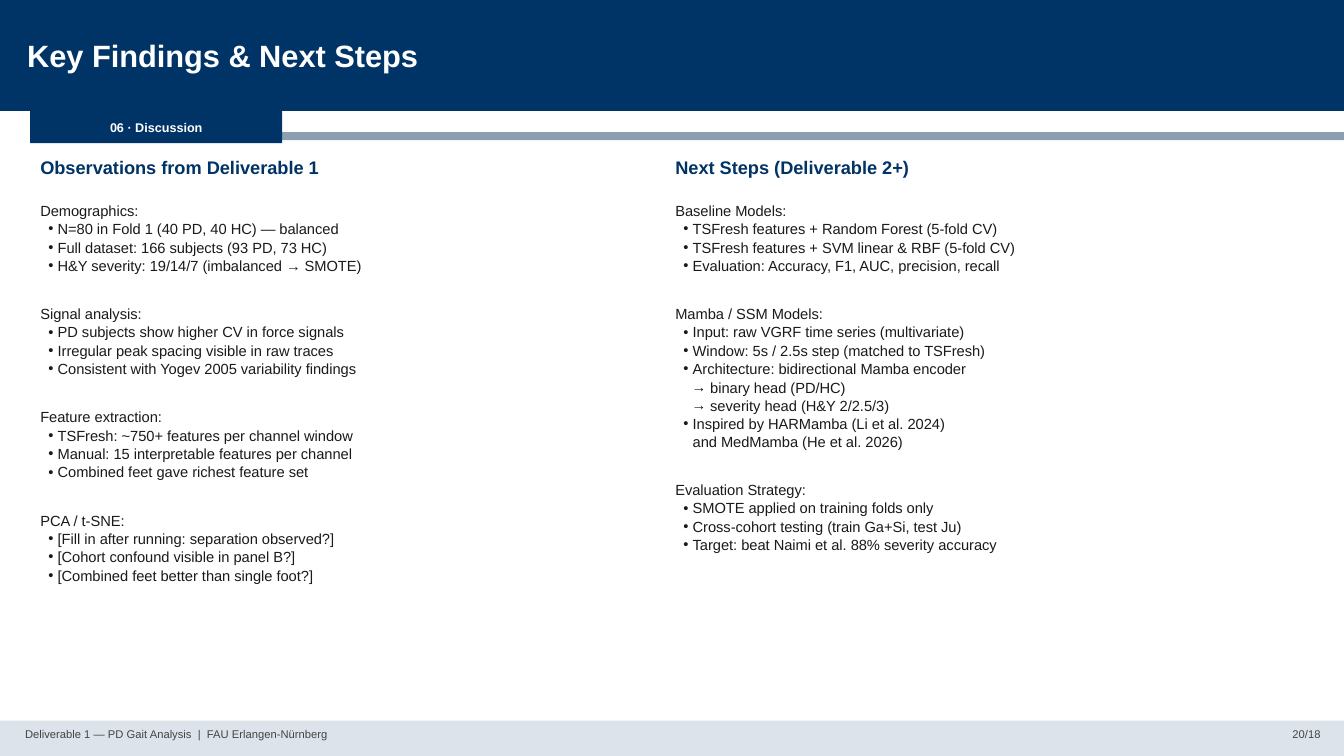
from typing import NamedTuple

from lxml.etree import SubElement
from pptx import Presentation
from pptx.dml.color import RGBColor
from pptx.enum.shapes import MSO_SHAPE
from pptx.enum.text import MSO_ANCHOR, MSO_AUTO_SIZE, PP_ALIGN
from pptx.oxml.ns import qn
from pptx.util import Pt

NAVY = RGBColor(0x00, 0x33, 0x66)
SLATE = RGBColor(0x8C, 0x9F, 0xB1)
PALE = RGBColor(0xDD, 0xE3, 0xEA)
INK = RGBColor(0x1A, 0x1A, 0x1A)
GREY = RGBColor(0x44, 0x44, 0x44)
WHITE = RGBColor(0xFF, 0xFF, 0xFF)

LINE_GAP = 0.55
GROUP_GAP = 21.8


class Area(NamedTuple):
    left: float
    top: float
    width: float
    height: float


class Level(NamedTuple):
    margin: float
    indent: float
    bullet: str


class Item(NamedTuple):
    text: str
    level: Level


class Group(NamedTuple):
    heading: str
    items: list[Item]


class Column(NamedTuple):
    left: float
    width: float
    heading: str
    groups: list[Group]


HEADING = Level(0, 0, "")
POINT = Level(12.4, -6.6, "•")
ARROW = Level(24.9, -13.2, "→")


def points(*texts: str) -> list[Item]:
    return [Item(text, POINT) for text in texts]


COLUMNS = [
    Column(21.6, 432, "Observations from Deliverable 1", [
        Group("Demographics:", points(
            "N=80 in Fold 1 (40 PD, 40 HC) — balanced",
            "Full dataset: 166 subjects (93 PD, 73 HC)",
            "H&Y severity: 19/14/7 (imbalanced → SMOTE)")),
        Group("Signal analysis:", points(
            "PD subjects show higher CV in force signals",
            "Irregular peak spacing visible in raw traces",
            "Consistent with Yogev 2005 variability findings")),
        Group("Feature extraction:", points(
            "TSFresh: ~750+ features per channel window",
            "Manual: 15 interpretable features per channel",
            "Combined feet gave richest feature set")),
        Group("PCA / t-SNE:", points(
            "[Fill in after running: separation observed?]",
            "[Cohort confound visible in panel B?]",
            "[Combined feet better than single foot?]")),
    ]),
    Column(475.2, 446.4, "Next Steps (Deliverable 2+)", [
        Group("Baseline Models:", points(
            "TSFresh features + Random Forest (5-fold CV)",
            "TSFresh features + SVM linear & RBF (5-fold CV)",
            "Evaluation: Accuracy, F1, AUC, precision, recall")),
        Group("Mamba / SSM Models:", [
            *points(
                "Input: raw VGRF time series (multivariate)",
                "Window: 5s / 2.5s step (matched to TSFresh)",
                "Architecture: bidirectional Mamba encoder"),
            Item("binary head (PD/HC)", ARROW),
            Item("severity head (H&Y 2/2.5/3)", ARROW),
            *points("Inspired by HARMamba (Li et al. 2024)\vand MedMamba (He et al. 2026)"),
        ]),
        Group("Evaluation Strategy:", points(
            "SMOTE applied on training folds only",
            "Cross-cohort testing (train Ga+Si, test Ju)",
            "Target: beat Naimi et al. 88% severity accuracy")),
    ]),
]


def place(box, area: Area) -> None:
    box.left, box.top, box.width, box.height = (Pt(length) for length in area)


def write(para, text: str, *, size: float, color: RGBColor, bold: bool = False,
          align=PP_ALIGN.LEFT, level: Level = HEADING, before: float = 0) -> None:
    para.text = text
    para.alignment = align
    para.space_before = Pt(before)
    properties = para._p.get_or_add_pPr()
    properties.set("marL", str(Pt(level.margin)))
    properties.set("indent", str(Pt(level.indent)))
    if level.bullet:
        SubElement(properties, qn("a:buChar")).set("char", level.bullet)
    else:
        SubElement(properties, qn("a:buNone"))
    for span in para.runs:
        span.font.name = "Arial"
        span.font.size = Pt(size)
        span.font.bold = bold
        span.font.color.rgb = color


def prepare(box, anchor=MSO_ANCHOR.TOP):
    frame = box.text_frame
    frame.word_wrap = True
    frame.auto_size = MSO_AUTO_SIZE.NONE
    frame.vertical_anchor = anchor
    return frame


def add_bar(page, area: Area, color: RGBColor):
    bar = page.shapes.add_shape(MSO_SHAPE.RECTANGLE, *(Pt(length) for length in area))
    bar.shadow.inherit = False
    bar.fill.solid()
    bar.fill.fore_color.rgb = color
    bar.line.fill.background()
    return bar


def add_label(page, area: Area, text: str, align) -> None:
    box = page.shapes.add_textbox(*(Pt(length) for length in area))
    write(prepare(box).paragraphs[0], text, size=8, color=GREY, align=align)


def fill_column(heading_box, body_box, column: Column) -> None:
    place(heading_box, Area(column.left, 108, column.width, 28.8))
    write(prepare(heading_box).paragraphs[0], column.heading, size=13, color=NAVY, bold=True)
    place(body_box, Area(column.left, 140.4, column.width, 345.6))
    frame = prepare(body_box)
    for number, group in enumerate(column.groups):
        para = frame.add_paragraph() if number else frame.paragraphs[0]
        write(para, group.heading, size=10.5, color=INK, before=GROUP_GAP if number else 0)
        for item in group.items:
            write(frame.add_paragraph(), item.text, size=10.5, color=INK,
                  level=item.level, before=LINE_GAP)


def main() -> None:
    deck = Presentation()
    deck.slide_width, deck.slide_height = Pt(960), Pt(540)
    page = deck.slides.add_slide(deck.slide_layouts[4])

    title, *boxes = page.placeholders
    place(title, Area(0, 0, 960, 79.2))
    title.fill.solid()
    title.fill.fore_color.rgb = NAVY
    frame = prepare(title, MSO_ANCHOR.MIDDLE)
    frame.margin_left = Pt(19.4)
    write(frame.paragraphs[0], "Key Findings & Next Steps", size=22, color=WHITE, bold=True)

    for heading_box, body_box, column in zip(boxes[::2], boxes[1::2], COLUMNS):
        fill_column(heading_box, body_box, column)

    add_bar(page, Area(41, 94.3, 919, 5.8), SLATE)
    tab = add_bar(page, Area(21.6, 79.2, 180, 23), NAVY)
    write(prepare(tab, MSO_ANCHOR.MIDDLE).paragraphs[0], "06 · Discussion",
          size=9, color=WHITE, bold=True, align=PP_ALIGN.CENTER)

    add_bar(page, Area(0, 514.8, 960, 25.2), PALE)
    add_label(page, Area(10.8, 516.2, 720, 20.2),
              "Deliverable 1 — PD Gait Analysis  |  FAU Erlangen-Nürnberg", PP_ALIGN.LEFT)
    add_label(page, Area(900, 516.2, 50.4, 20.2), "20/18", PP_ALIGN.RIGHT)

    deck.save("out.pptx")


if __name__ == "__main__":
    main()
